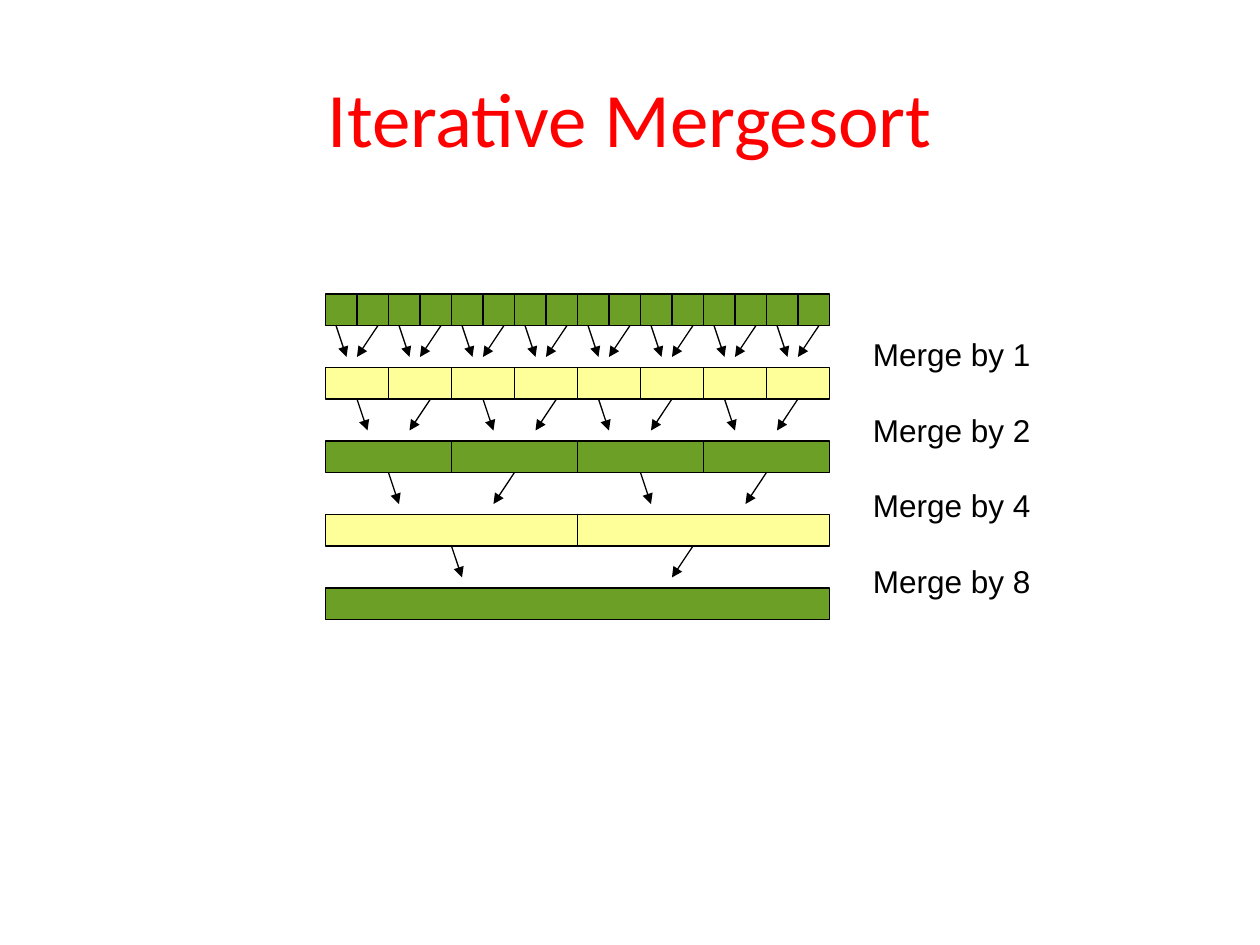
from pptx import Presentation
from pptx.dml.color import RGBColor
from pptx.enum.shapes import MSO_CONNECTOR, MSO_SHAPE
from pptx.enum.text import MSO_ANCHOR, PP_ALIGN
from pptx.oxml.ns import qn
from pptx.util import Inches, Pt
from lxml import etree

RECT, STRAIGHT = MSO_SHAPE.RECTANGLE, MSO_CONNECTOR.STRAIGHT
MIDDLE, CENTER = MSO_ANCHOR.MIDDLE, PP_ALIGN.CENTER

COLORS = {"title": "FF0000", "ink": "000000", "green": "6B9F25", "yellow": "FFFF99"}
TITLE = "Iterative Mergesort"
LABELS = ["Merge by 1", "Merge by 2", "Merge by 4", "Merge by 8"]

# Diagram grid, in units of a twelfth of an inch
UNIT = 1 / 12
LEFT, TOP = 31, 28
CELL, PITCH = 3, 7
ITEMS = 16
RIGHTWARD, LEFTWARD = 1, -2

# Per pass: start columns of the arrows from each left run and each right run
ARROWS = [
    (range(1, 48, 6), range(5, 48, 6)),
    ((3, 15, 26, 38), (10, 22, 33, 45)),
    ((6, 30), (18, 42)),
    ((12,), (35,)),
]
LINE = 21.6  # label line height, points


def color(name):
    return RGBColor.from_string(COLORS[name])


def grid(*values):
    return [Inches(v * UNIT) for v in values]


def add_block(slide, x, y, width, fill):
    sp = slide.shapes.add_shape(RECT, *grid(x, y, width, CELL))
    sp.shadow.inherit = False
    sp.fill.solid()
    sp.fill.fore_color.rgb = color(fill)
    sp.line.color.rgb = color("ink")
    sp.line.width = Pt(0.75)


def add_arrow(slide, x, y, dx):
    cxn = slide.shapes.add_connector(STRAIGHT, *grid(x, y, x + dx, y + CELL))
    cxn.line.color.rgb = color("ink")
    cxn.line.width = Pt(0.75)
    etree.SubElement(cxn.line._get_or_add_ln(), qn("a:tailEnd"), type="triangle")
    etree.SubElement(cxn._element.spPr, qn("a:effectLst"))


def add_text(slide, box, lines, font, size, ink):
    tf = slide.shapes.add_textbox(*map(Inches, box)).text_frame
    tf.text = "\n".join(lines)
    for p in tf.paragraphs:
        p.font.name, p.font.size = font, Pt(size)
        p.font.color.rgb = color(ink)
    return tf


prs = Presentation()
prs.slide_width, prs.slide_height = Inches(10), Inches(7.5)
slide = prs.slides.add_slide(prs.slide_layouts[6])

tf = add_text(slide, (0.5, 0.3, 9, 1.25), [TITLE], "Calibri", 44, "title")
tf.word_wrap = True
tf.vertical_anchor = MIDDLE
tf.paragraphs[0].alignment = CENTER

for row in range(len(LABELS) + 1):
    y, width = TOP + row * PITCH, CELL * 2 ** row
    for i in range(ITEMS // 2 ** row):
        add_block(slide, LEFT + i * width, y, width, ("green", "yellow")[row % 2])

for row, starts in enumerate(ARROWS):
    for columns, dx in zip(starts, (RIGHTWARD, LEFTWARD)):
        for x in columns:
            add_arrow(slide, LEFT + x, TOP + row * PITCH + CELL, dx)

tf = add_text(slide, (6.83, 2.61, 1.45, 2.2), LABELS, "Arial", 18, "ink")
tf.word_wrap = False
for i, p in enumerate(tf.paragraphs):
    p.line_spacing = Pt(LINE)
    p.space_before = Pt(LINE if i else 0)

prs.save("out.pptx")
